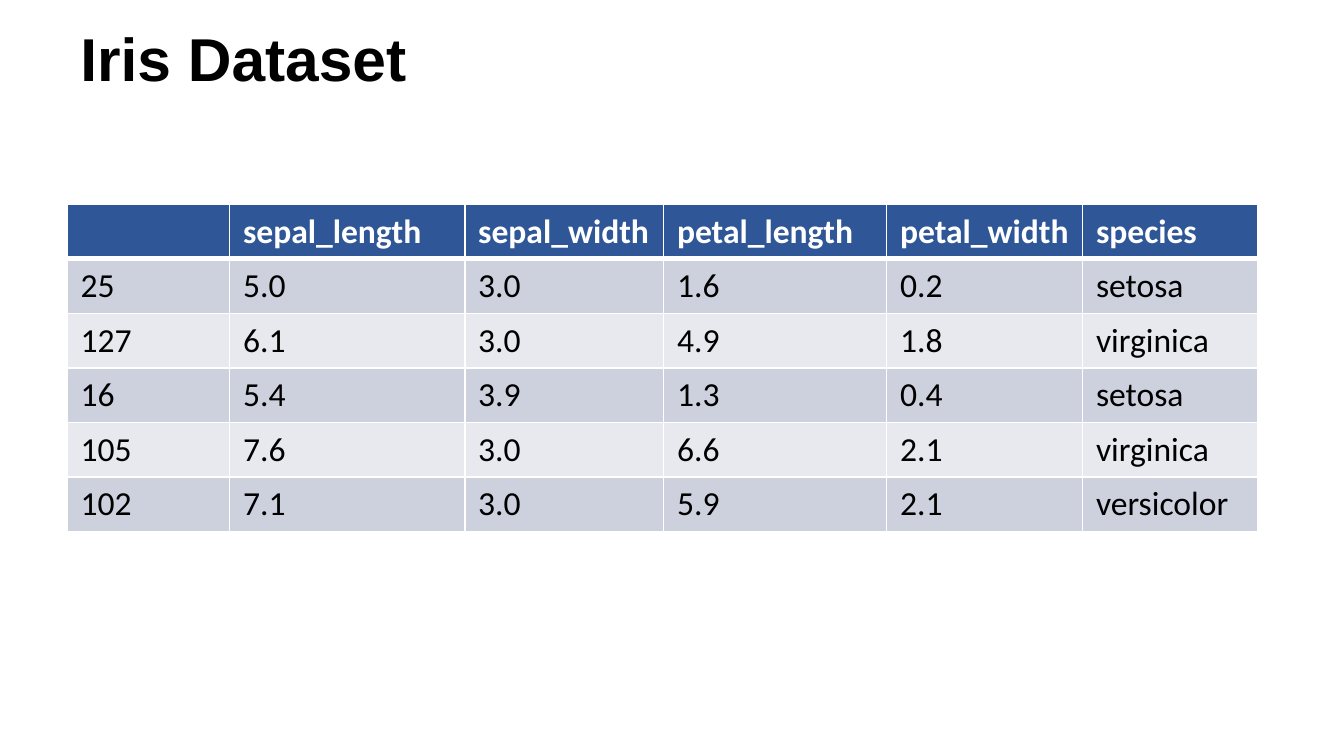
from dataclasses import dataclass

from pptx import Presentation
from pptx.dml.color import RGBColor
from pptx.enum.text import MSO_ANCHOR
from pptx.oxml.ns import qn
from pptx.util import Pt
from lxml import etree

TOP = MSO_ANCHOR.TOP


@dataclass(frozen=True)
class Theme:
    head: str = "2F5696"
    bands: tuple[str, str] = ("CDD1DD", "E8E9EF")
    white: str = "FFFFFF"
    black: str = "000000"
    title: float = 32.4
    body: float = 18
    thin: float = 1
    thick: float = 3


@dataclass(frozen=True)
class Box:
    left: float
    top: float
    width: float
    height: float

    def place(self) -> tuple:
        return Pt(self.left), Pt(self.top), Pt(self.width), Pt(self.height)


@dataclass(frozen=True)
class Style:
    font: str
    size: float
    color: str
    bold: bool


@dataclass(frozen=True)
class Row:
    cells: tuple[str, ...]
    fill: str
    style: Style
    above: float
    below: float


THEME = Theme()
TITLE = Style("Arial", THEME.title, THEME.black, True)
HEAD = Style("Calibri", THEME.body, THEME.white, True)
BODY = Style("Calibri", THEME.body, THEME.black, False)
WIDTHS = (87, 126, 106.5, 119.5, 105, 94)
HEIGHT = 29.2
NAMES = ("", "sepal_length", "sepal_width", "petal_length", "petal_width", "species")
DATA = (
    ("25", "5.0", "3.0", "1.6", "0.2", "setosa"),
    ("127", "6.1", "3.0", "4.9", "1.8", "virginica"),
    ("16", "5.4", "3.9", "1.3", "0.4", "setosa"),
    ("105", "7.6", "3.0", "6.6", "2.1", "virginica"),
    ("102", "7.1", "3.0", "5.9", "2.1", "versicolor"),
)


def write(frame, text: str, style: Style) -> None:
    run = frame.paragraphs[0].add_run()
    run.text = text
    font = run.font
    font.name = style.font
    font.size = Pt(style.size)
    font.bold = style.bold
    font.color.rgb = RGBColor.from_string(style.color)


def edge(cell, side: str, width: float) -> None:
    line = etree.SubElement(cell._tc.get_or_add_tcPr(), qn(f"a:ln{side}"), w=str(Pt(width)))
    fill = etree.SubElement(line, qn("a:solidFill"))
    etree.SubElement(fill, qn("a:srgbClr"), val=THEME.white)


def draw_title(slide, text: str, box: Box) -> None:
    frame = slide.shapes.add_textbox(*box.place()).text_frame
    frame.word_wrap = True
    frame.vertical_anchor = TOP
    frame.margin_top = Pt(6.3)
    write(frame, text, TITLE)


def draw_table(slide, rows: list[Row], left: float, top: float) -> None:
    box = Box(left, top, sum(WIDTHS), HEIGHT * len(rows))
    table = slide.shapes.add_table(len(rows), len(WIDTHS), *box.place()).table
    for column, width in zip(table.columns, WIDTHS):
        column.width = Pt(width)
    for line, row in zip(table.rows, rows):
        line.height = Pt(HEIGHT)
        for cell, text in zip(line.cells, row.cells):
            edge(cell, "L", THEME.thin)
            edge(cell, "R", THEME.thin)
            edge(cell, "T", row.above)
            edge(cell, "B", row.below)
            cell.fill.solid()
            cell.fill.fore_color.rgb = RGBColor.from_string(row.fill)
            if text:
                write(cell.text_frame, text, row.style)


def main() -> None:
    deck = Presentation()
    deck.slide_width, deck.slide_height = Pt(720), Pt(405)
    slide = deck.slides.add_slide(deck.slide_layouts[6])
    draw_title(slide, "Iris Dataset", Box(36, 5, 638, 56))
    rows = [Row(NAMES, THEME.head, HEAD, THEME.thin, THEME.thick)]
    for i, cells in enumerate(DATA):
        above = THEME.thin if i else THEME.thick
        rows.append(Row(cells, THEME.bands[i % 2], BODY, above, THEME.thin))
    draw_table(slide, rows, 36, 109.5)
    deck.save("out.pptx")


if __name__ == "__main__":
    main()
